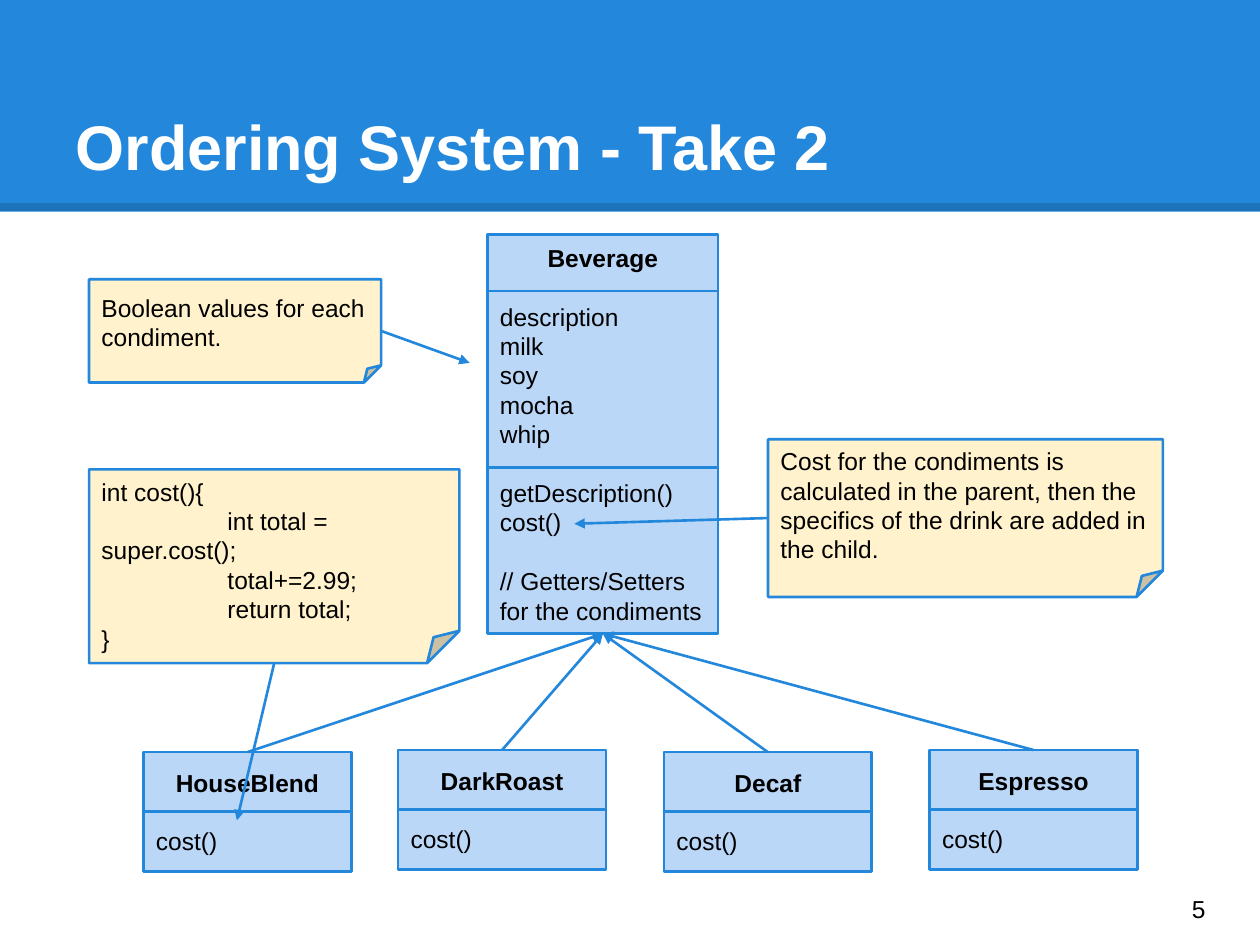
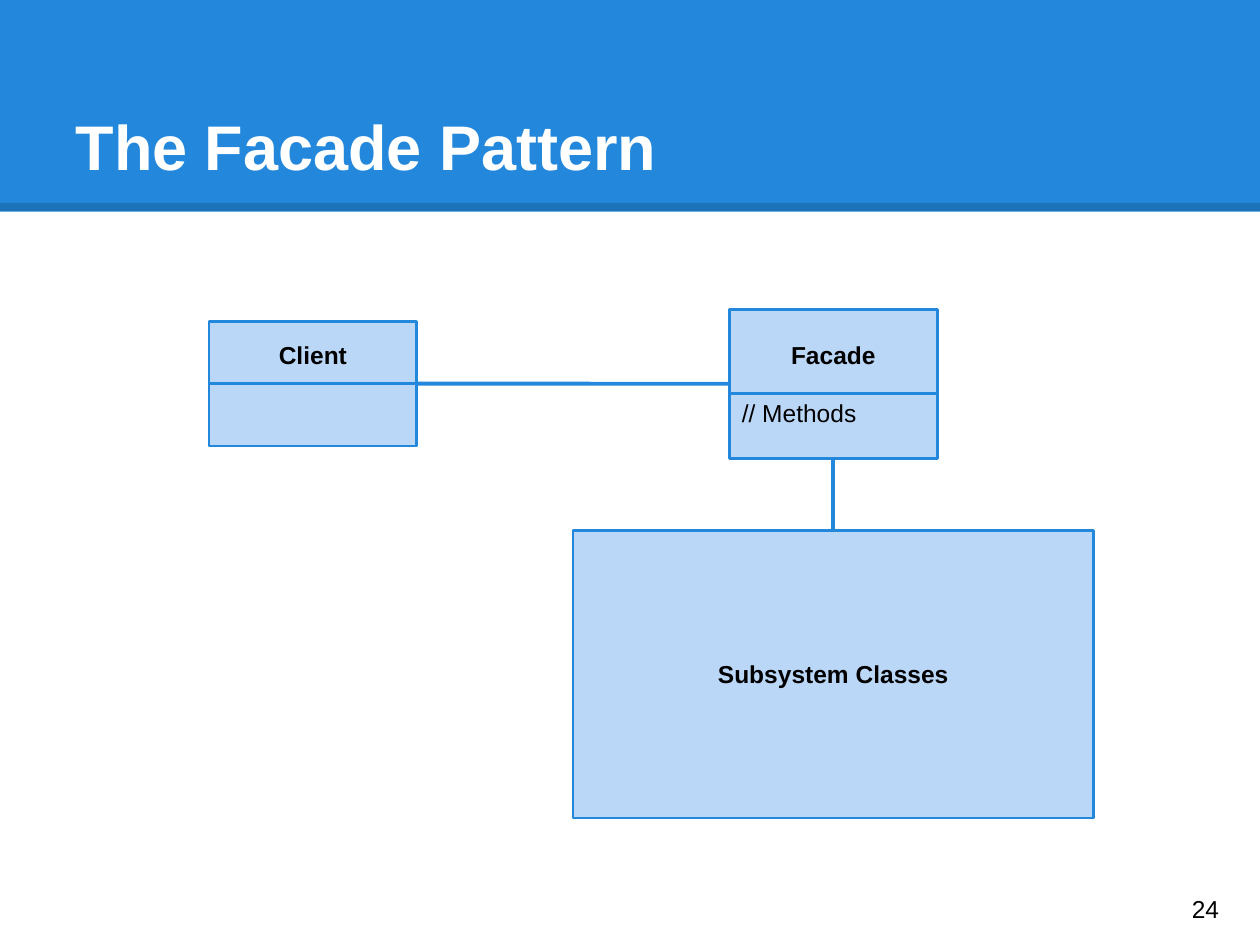
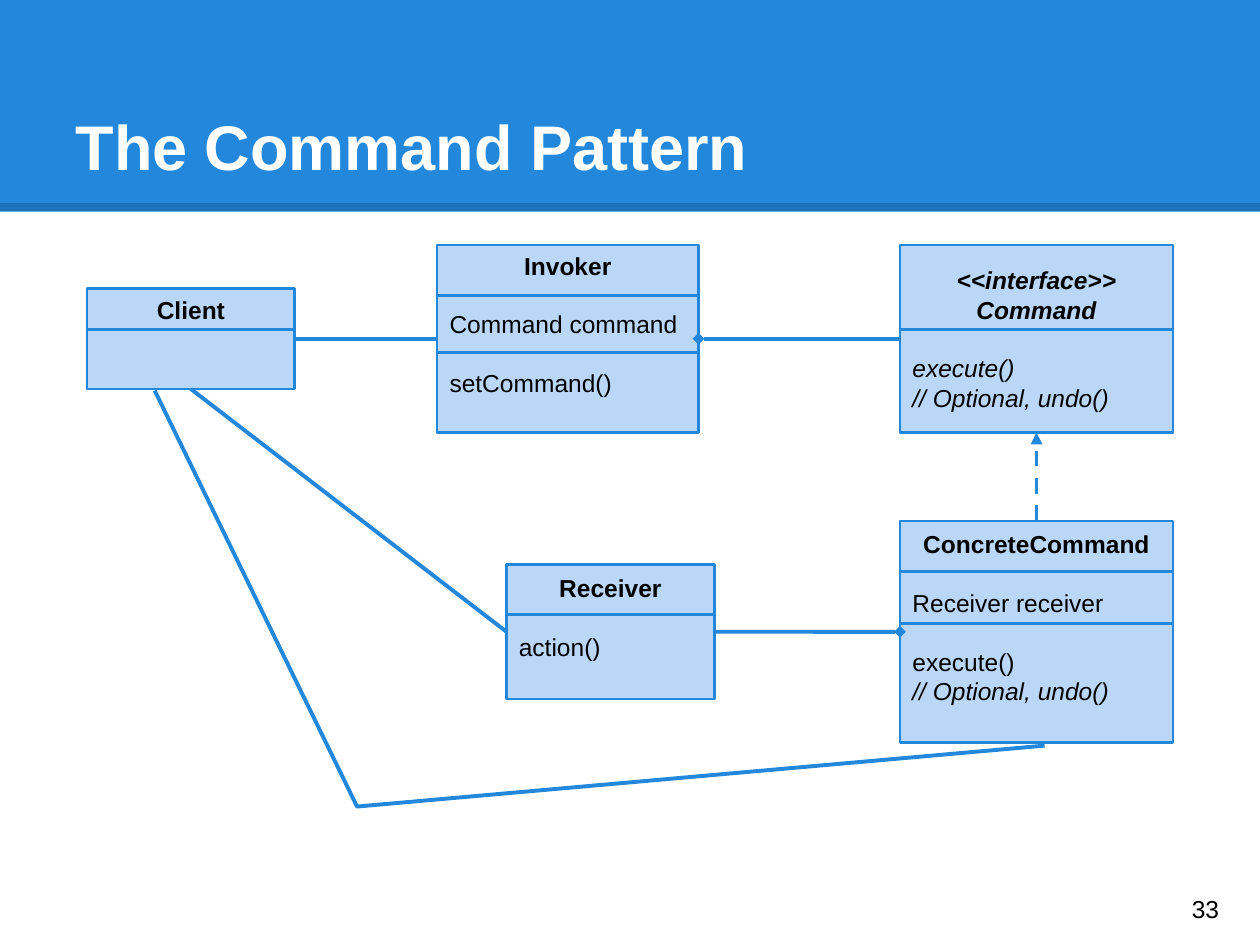
"""Build three design-pattern slides with class diagrams, notes and connectors."""
from collections import namedtuple

from lxml import etree
from pptx import Presentation
from pptx.dml.color import RGBColor
from pptx.enum.dml import MSO_LINE
from pptx.enum.shapes import MSO_CONNECTOR, MSO_SHAPE
from pptx.enum.text import MSO_ANCHOR, MSO_AUTO_SIZE, PP_ALIGN
from pptx.oxml.ns import qn
from pptx.util import Pt

BLUE = RGBColor(0x23, 0x88, 0xDB)
PALE_BLUE = RGBColor(0xBB, 0xD7, 0xF8)
CREAM = RGBColor(0xFF, 0xF2, 0xCC)
WHITE = RGBColor(0xFF, 0xFF, 0xFF)
BLACK = RGBColor(0x00, 0x00, 0x00)

FONT = "Arial"
TITLE_SIZE = 36
TEXT_SIZE = 14
LINE_HEIGHT = 16.75
INSET = 7.2
TAB_STOP = 72
THIN = 1.5
THICK = 2.25
SLIDE_WIDTH, SLIDE_HEIGHT = 720, 540
TOP, LEFT, BOTTOM, RIGHT = range(4)

Joint = namedtuple("Joint", "shape side")


def set_frame(frame, anchor, blank_above=0, blank_below=0):
    """Set wrapping, anchor and insets, with room for blank lines at either end."""
    frame.word_wrap = True
    frame.auto_size = MSO_AUTO_SIZE.NONE
    frame.vertical_anchor = anchor
    frame.margin_left = frame.margin_right = Pt(INSET)
    frame.margin_top = Pt(INSET + blank_above * LINE_HEIGHT)
    frame.margin_bottom = Pt(INSET + blank_below * LINE_HEIGHT)


def add_text(paragraph, text, size=TEXT_SIZE, color=BLACK, bold=False, italic=False,
             alignment=PP_ALIGN.LEFT):
    """Add one formatted run to a paragraph."""
    paragraph.alignment = alignment
    run = paragraph.add_run()
    run.text = text
    run.font.name = FONT
    run.font.size = Pt(size)
    run.font.color.rgb = color
    run.font.bold = bold
    run.font.italic = italic


def add_lines(frame, lines):
    """Write one left-aligned paragraph per line, with a tab stop for code."""
    for index, line in enumerate(lines):
        paragraph = frame.add_paragraph() if index else frame.paragraphs[0]
        if line.startswith("\t"):
            tabs = etree.SubElement(paragraph._p.get_or_add_pPr(), qn("a:tabLst"))
            etree.SubElement(tabs, qn("a:tab"), pos=str(Pt(TAB_STOP)), algn="l")
        add_text(paragraph, line)


def add_block(slide, kind, box, fill, outline=BLUE):
    """Add a filled preset shape, outlined unless outline is None."""
    shape = slide.shapes.add_shape(kind, *map(Pt, box))
    shape.shadow.inherit = False
    shape.fill.solid()
    shape.fill.fore_color.rgb = fill
    if outline is None:
        shape.line.fill.background()
    else:
        shape.line.color.rgb = outline
        shape.line.width = Pt(THIN)
    return shape


def add_link(slide, start, end, width=THIN, color=BLUE, head=None, tail=None, dashed=False):
    """Draw a straight connector between points or joints."""
    connector = slide.shapes.add_connector(MSO_CONNECTOR.STRAIGHT, 0, 0, 0, 0)
    if isinstance(start, Joint):
        connector.begin_connect(*start)
    else:
        connector.begin_x, connector.begin_y = map(Pt, start)
    if isinstance(end, Joint):
        connector.end_connect(*end)
    else:
        connector.end_x, connector.end_y = map(Pt, end)
    line = connector.line
    line.color.rgb = color
    line.width = Pt(width)
    if dashed:
        line.dash_style = MSO_LINE.DASH
    properties = connector.element.spPr
    for tag, arrow in (("a:headEnd", head), ("a:tailEnd", tail)):
        if arrow:
            etree.SubElement(properties.find(qn("a:ln")), qn(tag), type=arrow)
    etree.SubElement(properties, qn("a:effectLst"))
    return connector


def add_class(slide, box, heading, sections=(), dividers=(), italic=(), blank_below=0):
    """Draw a class box: heading, sections one line apart, and dividers."""
    shape = add_block(slide, MSO_SHAPE.RECTANGLE, box, PALE_BLUE)
    frame = shape.text_frame
    set_frame(frame, MSO_ANCHOR.MIDDLE, blank_below=blank_below)
    add_text(frame.paragraphs[0], heading, bold=True, italic=heading in italic,
             alignment=PP_ALIGN.CENTER)
    for section in sections:
        for index, line in enumerate(section):
            paragraph = frame.add_paragraph()
            if index == 0:
                paragraph.space_before = Pt(LINE_HEIGHT)
            add_text(paragraph, line, italic=line in italic)
    left, _, width, _ = box
    for y in dividers:
        add_link(slide, (left, y), (left + width, y))
    return shape


def add_note(slide, box, lines, blank_above=0):
    """Draw a note with a folded corner."""
    shape = add_block(slide, MSO_SHAPE.FOLDED_CORNER, box, CREAM)
    set_frame(shape.text_frame, MSO_ANCHOR.MIDDLE, blank_above)
    add_lines(shape.text_frame, lines)
    return shape


def add_polyline(slide, points):
    """Draw an open line through the points."""
    first, *rest = [tuple(map(Pt, point)) for point in points]
    builder = slide.shapes.build_freeform(*first)
    builder.add_line_segments(rest, close=False)
    shape = builder.convert_to_shape()
    shape.shadow.inherit = False
    shape.fill.background()
    shape.line.color.rgb = BLUE
    shape.line.width = Pt(THICK)


def add_band(slide):
    """Draw the title band and its shaded edge, and move both to the layout."""
    layout = slide.slide_layout
    for placeholder in list(layout.placeholders)[1:]:
        placeholder.element.getparent().remove(placeholder.element)
    band = add_block(slide, MSO_SHAPE.RECTANGLE, (0, 0, SLIDE_WIDTH, 121), BLUE, None)
    edge = add_link(slide, (0, 118.4), (SLIDE_WIDTH, 118.4), 4.5, BLACK)
    color = edge.element.spPr.find(".//" + qn("a:srgbClr"))
    etree.SubElement(color, qn("a:alpha"), val="15000")
    for shape in (band, edge):
        layout.shapes.element.append(shape.element)


def add_slide(presentation, title, number):
    """Add a slide with its title and page number."""
    slide = presentation.slides.add_slide(presentation.slide_layouts[5])
    if len(presentation.slides) == 1:
        add_band(slide)
    heading = slide.shapes.title
    heading.left, heading.top, heading.width, heading.height = map(Pt, (36, 21.6, 648, 90))
    set_frame(heading.text_frame, MSO_ANCHOR.BOTTOM)
    add_text(heading.text_frame.paragraphs[0], title, TITLE_SIZE, WHITE, bold=True)
    page = slide.shapes.add_textbox(*map(Pt, (674, 499, 43.2, 41)))
    set_frame(page.text_frame, MSO_ANCHOR.MIDDLE)
    add_lines(page.text_frame, [number])
    return slide


def build_ordering_system(presentation):
    """Show the beverage class, its drinks and the notes."""
    slide = add_slide(presentation, "Ordering System - Take 2", "5")
    beverage = add_class(
        slide, (278.6, 133.9, 131.8, 228.2), "Beverage",
        [["description", "milk", "soy", "mocha", "whip"],
         ["getDescription()", "cost()"],
         ["// Getters/Setters for the condiments"]],
        dividers=(166.2, 267))
    drinks = [("HouseBlend", 82, 429.8), ("DarkRoast", 227.5, 428.6),
              ("Decaf", 379.4, 429.8), ("Espresso", 531.2, 428.6)]
    width, height = 118.8, 68.2
    for name, left, top in drinks:
        drink = add_class(slide, (left, top, width, height), name, [["cost()"]],
                          dividers=[top + height / 2])
        add_link(slide, Joint(drink, TOP), Joint(beverage, BOTTOM), tail="triangle")
    condiments = add_note(slide, (50.9, 159.6, 166.9, 59),
                          ["Boolean values for each condiment."])
    parent_cost = add_note(
        slide, (438.9, 251, 225.6, 90.1),
        ["Cost for the condiments is calculated in the parent, "
         "then the specifics of the drink are added in the child."])
    child_cost = add_note(
        slide, (50.9, 268.2, 211.6, 110.7),
        ["int cost(){", "\tint total = super.cost();", "\ttotal+=2.99;",
         "\treturn total;", "}"],
        blank_above=1)
    for note, side, target in ((condiments, RIGHT, (268.4, 207.4)),
                               (parent_cost, LEFT, (328.2, 299.3)),
                               (child_cost, BOTTOM, (135.4, 468.8))):
        add_link(slide, Joint(note, side), target, tail="triangle")


def build_facade(presentation):
    """Show a client that reaches the subsystem through a facade."""
    slide = add_slide(presentation, "The Facade Pattern", "24")
    client = add_class(slide, (119.4, 183.6, 118.8, 71.3), "Client",
                       dividers=[219.2], blank_below=2)
    facade = add_class(slide, (416.8, 176.7, 118.8, 85.2), "Facade", [["// Methods"]],
                       dividers=[224.8])
    subsystem = add_class(slide, (327.4, 303.1, 297.6, 164.3), "Subsystem Classes")
    add_link(slide, Joint(client, RIGHT), Joint(facade, LEFT), THICK)
    add_link(slide, Joint(subsystem, TOP), Joint(facade, BOTTOM), THICK)


def build_command(presentation):
    """Show the classes of the command pattern."""
    slide = add_slide(presentation, "The Command Pattern", "33")
    add_polyline(slide, [(596.9, 426.1), (204, 460.9), (88.4, 223.2)])
    undo = "// Optional, undo()"
    client = add_class(slide, (49.7, 164.9, 118.8, 57.4), "Client",
                       dividers=[188.2], blank_below=2)
    command = add_class(slide, (514.3, 140, 156, 107.2), "<<interface>> Command",
                        [["execute()", undo]], dividers=[188.2],
                        italic=("<<interface>> Command", "execute()", undo))
    invoker = add_class(slide, (249.8, 140, 149.3, 107.2), "Invoker",
                        [["Command command"], ["setCommand()"]],
                        dividers=(168.8, 201.6), blank_below=1)
    receiver = add_class(slide, (289.4, 322.6, 118.8, 76.8), "Receiver", [["action()"]],
                         dividers=[351.2], blank_below=1)
    concrete = add_class(slide, (514.3, 297.8, 156, 126.5), "ConcreteCommand",
                         [["Receiver receiver"], ["execute()", undo]],
                         dividers=(326.5, 356.2), italic=(undo,), blank_below=1)
    add_link(slide, Joint(concrete, TOP), Joint(command, BOTTOM), THICK,
             tail="triangle", dashed=True)
    add_link(slide, Joint(invoker, RIGHT), Joint(command, LEFT), THICK, head="diamond")
    add_link(slide, Joint(receiver, RIGHT), Joint(concrete, LEFT), THICK, tail="diamond")
    add_link(slide, Joint(client, BOTTOM), Joint(receiver, LEFT), THICK)
    add_link(slide, Joint(client, RIGHT), Joint(invoker, LEFT), THICK)


def main():
    """Build and save the presentation."""
    presentation = Presentation()
    presentation.slide_width = Pt(SLIDE_WIDTH)
    presentation.slide_height = Pt(SLIDE_HEIGHT)
    build_ordering_system(presentation)
    build_facade(presentation)
    build_command(presentation)
    presentation.save("out.pptx")


if __name__ == "__main__":
    main()
